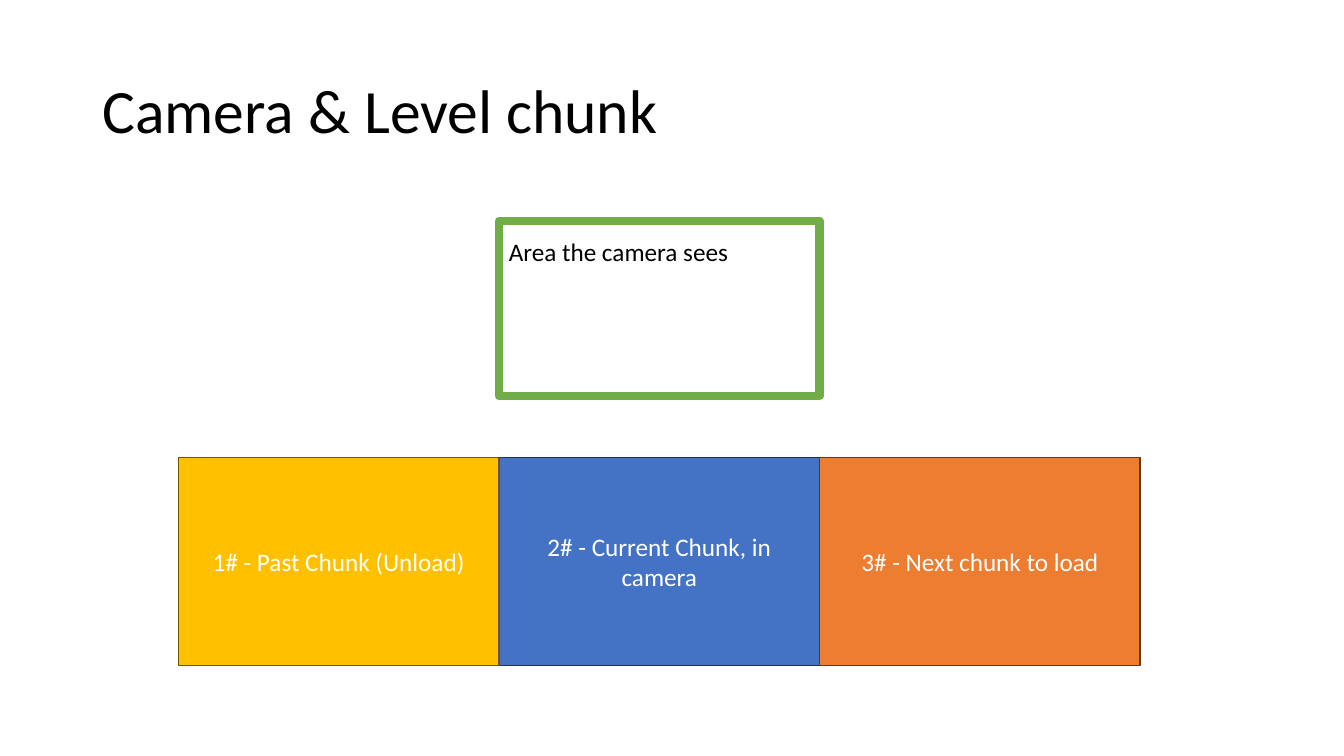
from dataclasses import dataclass

from pptx import Presentation
from pptx.dml.color import RGBColor
from pptx.enum.shapes import MSO_SHAPE
from pptx.enum.text import MSO_ANCHOR, MSO_AUTO_SIZE, PP_ALIGN
from pptx.util import Pt


@dataclass(frozen=True)
class Theme:
    """Colours and type sizes of the slide."""
    font: str = "Calibri"
    title_size: int = 44
    body_size: int = 18
    black: str = "000000"
    white: str = "FFFFFF"
    camera: str = "70AD47"
    past: tuple = ("FFC000", "705400")
    current: tuple = ("4472C4", "1E3256")
    upcoming: tuple = ("ED7D31", "683715")


THEME = Theme()
CHUNK_LEFT, CHUNK_TOP = 127.4, 326.9
CHUNK_WIDTH, CHUNK_HEIGHT = 229, 148.3
CAMERA_LEFT = CHUNK_LEFT + CHUNK_WIDTH
CHUNKS = [
    (1, "2# - Current Chunk, in camera", THEME.current),
    (0, "1# - Past Chunk (Unload)", THEME.past),
    (2, "3# - Next chunk to load", THEME.upcoming),
]


def write(shape, text, size, color, align, anchor):
    """Put one formatted paragraph into a shape."""
    frame = shape.text_frame
    frame.text = text
    frame.vertical_anchor = anchor
    frame.word_wrap = True
    para = frame.paragraphs[0]
    para.alignment = align
    font = para.runs[0].font
    font.name = THEME.font
    font.size = Pt(size)
    font.color.rgb = RGBColor.from_string(color)


def add_title(page, text):
    """Place and format the title placeholder."""
    title = page.shapes.title
    title.left, title.top = Pt(66), Pt(28.75)
    title.width, title.height = Pt(828), Pt(104.4)
    write(title, text, THEME.title_size, THEME.black, PP_ALIGN.LEFT, MSO_ANCHOR.MIDDLE)
    title.text_frame.auto_size = MSO_AUTO_SIZE.NONE
    title.text_frame.paragraphs[0].line_spacing = 0.9


def add_box(page, left, top, width, height, fill, line, weight):
    """Add a filled and outlined rectangle."""
    box = page.shapes.add_shape(
        MSO_SHAPE.RECTANGLE, Pt(left), Pt(top), Pt(width), Pt(height))
    box.shadow.inherit = False
    box.fill.solid()
    box.fill.fore_color.rgb = RGBColor.from_string(fill)
    box.line.color.rgb = RGBColor.from_string(line)
    box.line.width = Pt(weight)
    return box


def add_chunk(page, column, text, colors):
    """Add one level chunk in its column."""
    left = CHUNK_LEFT + column * CHUNK_WIDTH
    box = add_box(page, left, CHUNK_TOP, CHUNK_WIDTH, CHUNK_HEIGHT, *colors, 1)
    write(box, text, THEME.body_size, THEME.white, PP_ALIGN.CENTER, MSO_ANCHOR.MIDDLE)


def add_label(page, text, left, top, width, height):
    """Add a left-aligned text box that fits its text."""
    box = page.shapes.add_textbox(Pt(left), Pt(top), Pt(width), Pt(height))
    write(box, text, THEME.body_size, THEME.black, PP_ALIGN.LEFT, MSO_ANCHOR.TOP)
    box.text_frame.auto_size = MSO_AUTO_SIZE.SHAPE_TO_FIT_TEXT


def main():
    """Build and save the slide."""
    deck = Presentation()
    deck.slide_width, deck.slide_height = Pt(960), Pt(540)
    page = deck.slides.add_slide(deck.slide_layouts[5])
    add_title(page, "Camera & Level chunk")
    add_box(page, CAMERA_LEFT, 157.7, CHUNK_WIDTH, 125.3, THEME.white, THEME.camera, 6)
    for column, text, colors in CHUNKS:
        add_chunk(page, column, text, colors)
    add_label(page, "Area the camera sees", CAMERA_LEFT, 164.9, 182.2, 29)
    deck.save("out.pptx")


main()
